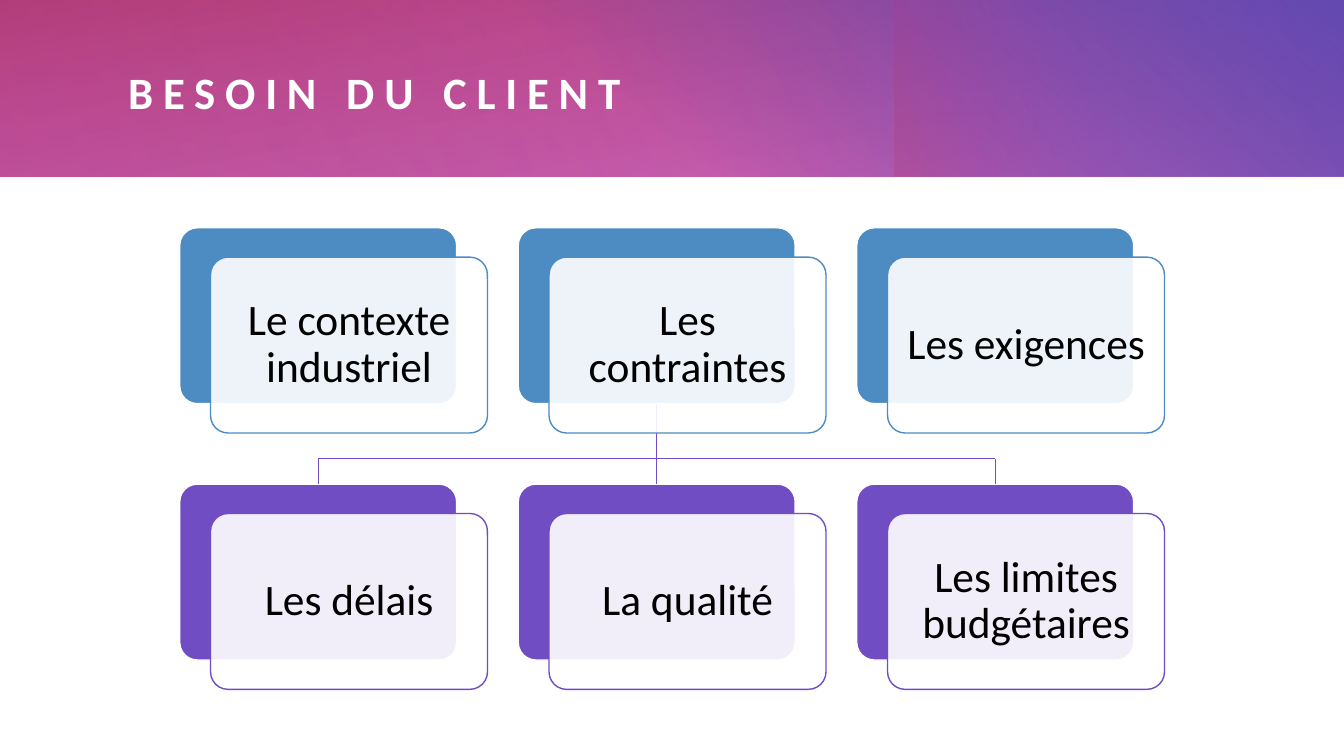
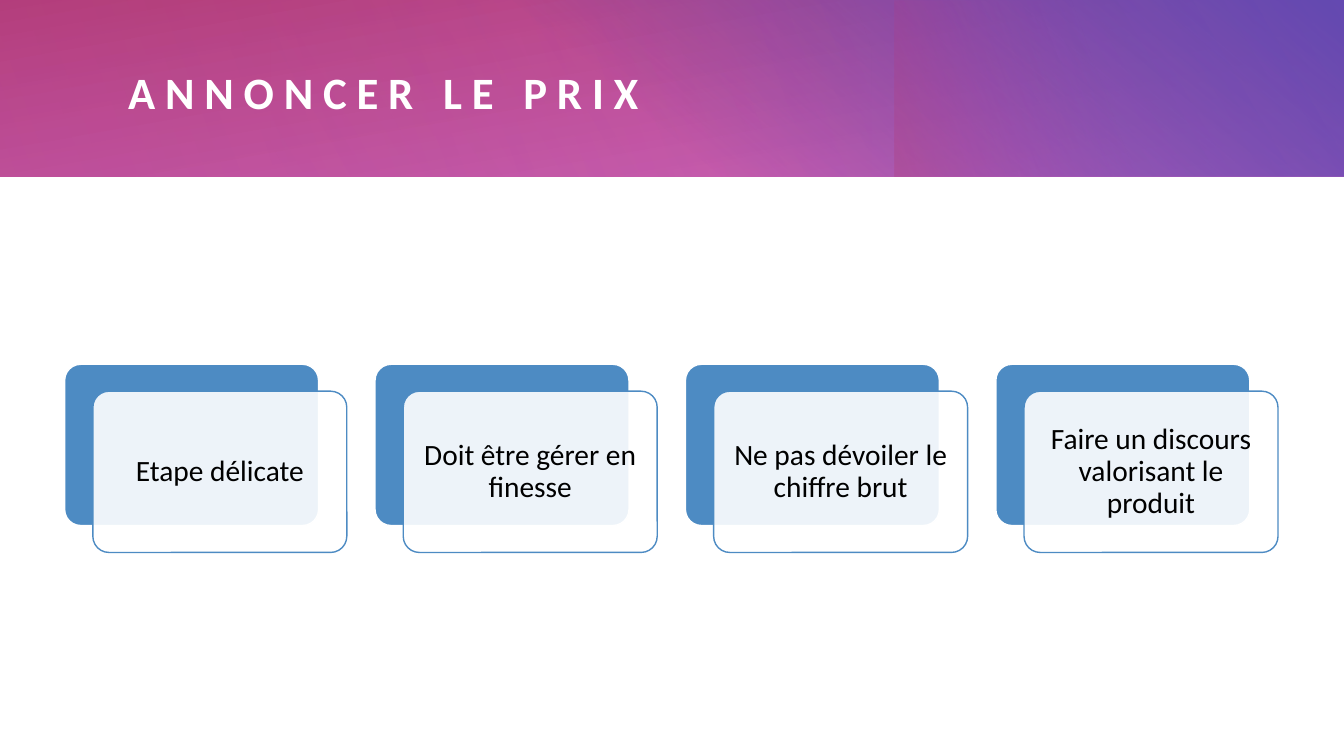
from pptx import Presentation
from pptx.dml.color import RGBColor
from pptx.enum.shapes import MSO_CONNECTOR, MSO_SHAPE
from pptx.enum.text import MSO_ANCHOR, PP_ALIGN
from pptx.oxml import parse_xml
from pptx.oxml.ns import nsdecls, qn
from pptx.util import Cm, Pt
from lxml import etree

RECTANGLE = MSO_SHAPE.RECTANGLE
ROUNDED = MSO_SHAPE.ROUNDED_RECTANGLE
STRAIGHT = MSO_CONNECTOR.STRAIGHT
MIDDLE = MSO_ANCHOR.MIDDLE
CENTER = PP_ALIGN.CENTER
TOP_SIDE, BOTTOM_SIDE = 0, 2

FONT = "Calibri"
WHITE, BLACK = "FFFFFF", "000000"
BLUE, PURPLE = "4D8BC3", "714DC3"
PINK, RED, INDIGO, VIOLET = "C34DB2", "B13B6F", "3B48B1", "913BB1"

BAND_HEIGHT = 4.45
BAND_LAYERS = [
    ((0, 0, 33.87, BAND_HEIGHT), 0, 260, [(0, PINK, 83), (100, RED, 100)]),
    ((12.22, 0, 21.65, BAND_HEIGHT), 0, 310, [(22, INDIGO, 0), (99, INDIGO, 100)]),
    ((25.07, -2.52, BAND_HEIGHT, 9.5), 270, 250, [(45, VIOLET, 0), (99, RED, 33)]),
    ((6.82, 0, 27.03, BAND_HEIGHT), 180, 330, [(0, PINK, 30), (99, PINK, 0)]),
    ((0, 0, 21.97, BAND_HEIGHT), 0, 340, [(0, PINK, 21), (99, PINK, 0)]),
]


def color(hex_string):
    return RGBColor.from_string(hex_string)


class Deck:
    def __init__(self):
        self.presentation = Presentation()
        self.presentation.slide_width = Cm(33.87)
        self.presentation.slide_height = Cm(19.05)
        self.slide = None

    def add_slide(self, title):
        self.slide = self.presentation.slides.add_slide(self.presentation.slide_layouts[6])
        for box, rotation, angle, stops in BAND_LAYERS:
            self.add_gradient(box, rotation, angle, stops)
        self.add_title(title)

    def add_shape(self, kind, box):
        shape = self.slide.shapes.add_shape(kind, *(Cm(length) for length in box))
        shape.shadow.inherit = False
        return shape

    def add_gradient(self, box, rotation, angle, stops):
        shape = self.add_shape(RECTANGLE, box)
        shape.rotation = rotation
        shape.line.fill.background()
        shape.fill.gradient()
        stop_xml = "".join(
            f'<a:gs pos="{position * 1000}"><a:srgbClr val="{tint}">'
            f'<a:alpha val="{opacity * 1000}"/></a:srgbClr></a:gs>'
            for position, tint, opacity in stops
        )
        gradient = parse_xml(
            f'<a:gradFill {nsdecls("a")} rotWithShape="1"><a:gsLst>{stop_xml}</a:gsLst>'
            f'<a:lin ang="{angle * 60000}" scaled="0"/></a:gradFill>'
        )
        properties = shape._element.spPr
        properties.replace(properties.find(qn("a:gradFill")), gradient)

    def set_text(self, shape, text, size, tint, margin):
        frame = shape.text_frame
        frame.word_wrap = True
        frame.vertical_anchor = MIDDLE
        frame.margin_left = frame.margin_right = Cm(margin)
        frame.margin_top = frame.margin_bottom = Cm(margin)
        paragraph = frame.paragraphs[0]
        paragraph.text = text
        paragraph.line_spacing = 0.9
        paragraph.font.name = FONT
        paragraph.font.size = Pt(size)
        paragraph.font.color.rgb = color(tint)
        return paragraph

    def add_title(self, text):
        title = self.slide.shapes.add_textbox(Cm(3.23), Cm(1.04), Cm(28.83), Cm(2.69))
        paragraph = self.set_text(title, text, 32, WHITE, 0)
        paragraph.font.bold = True
        paragraph.runs[0]._r.get_or_add_rPr().set("spc", "700")

    def add_rounded(self, box, line):
        shape = self.add_shape(ROUNDED, box)
        shape.adjustments[0] = 0.1
        shape.fill.solid()
        shape.line.color.rgb = color(line)
        shape.line.width = Pt(1)
        return shape

    def add_backs(self, count, left, top, width, tint):
        backs = []
        for index in range(count):
            box = (left + index * width * 11 / 9, top, width, width * 0.635)
            back = self.add_rounded(box, WHITE)
            back.fill.fore_color.rgb = color(tint)
            backs.append(back)
        return backs

    def add_fronts(self, backs, texts, size, tint):
        for back, text in zip(backs, texts):
            width = back.width.cm
            box = (back.left.cm + width / 9, back.top.cm + width * 0.106, width, back.height.cm)
            front = self.add_rounded(box, tint)
            front.fill.fore_color.rgb = color(WHITE)
            fill = front._element.spPr.find(qn("a:solidFill"))
            etree.SubElement(fill[0], qn("a:alpha")).set("val", "90000")
            paragraph = self.set_text(front, text, size, BLACK, size * 0.0106)
            paragraph.alignment = CENTER

    def add_line(self, start, end, tint):
        line = self.slide.shapes.add_connector(STRAIGHT, *start, *end)
        line.line.color.rgb = color(tint)
        line.line.width = Pt(1)
        etree.SubElement(line._element.spPr, qn("a:effectLst"))
        return line

    def add_tree(self, parent, children, branch_top, tint):
        def middle(shape):
            return shape.left + shape.width // 2

        level = Cm(branch_top)
        first, last = middle(children[0]), middle(children[-1])
        self.add_line((first, level), (last, level), tint)
        for child in children:
            center = middle(child)
            above_parent = center == middle(parent)
            start = parent.top + parent.height if above_parent else level
            line = self.add_line((center, start), (center, child.top), tint)
            if above_parent:
                line.begin_connect(parent, BOTTOM_SIDE)
            line.end_connect(child, TOP_SIDE)


def main():
    deck = Deck()

    deck.add_slide("BESOIN DU CLIENT")
    needs = deck.add_backs(3, 4.53, 5.74, 6.98, BLUE)
    limits = deck.add_backs(3, 4.53, 12.2, 6.98, PURPLE)
    deck.add_tree(needs[1], limits, 11.56, PURPLE)
    deck.add_fronts(needs, ["Le contexte industriel", "Les contraintes", "Les exigences"], 31, BLUE)
    deck.add_fronts(limits, ["Les délais", "La qualité", "Les limites budgétaires"], 31, PURPLE)

    deck.add_slide("ANNONCER LE PRIX")
    steps = deck.add_backs(4, 1.63, 9.18, 6.4, BLUE)
    step_texts = [
        "Etape délicate",
        "Doit être gérer en finesse",
        "Ne pas dévoiler le chiffre brut",
        "Faire un discours valorisant le produit",
    ]
    deck.add_fronts(steps, step_texts, 21, BLUE)

    deck.presentation.save("out.pptx")


if __name__ == "__main__":
    main()
